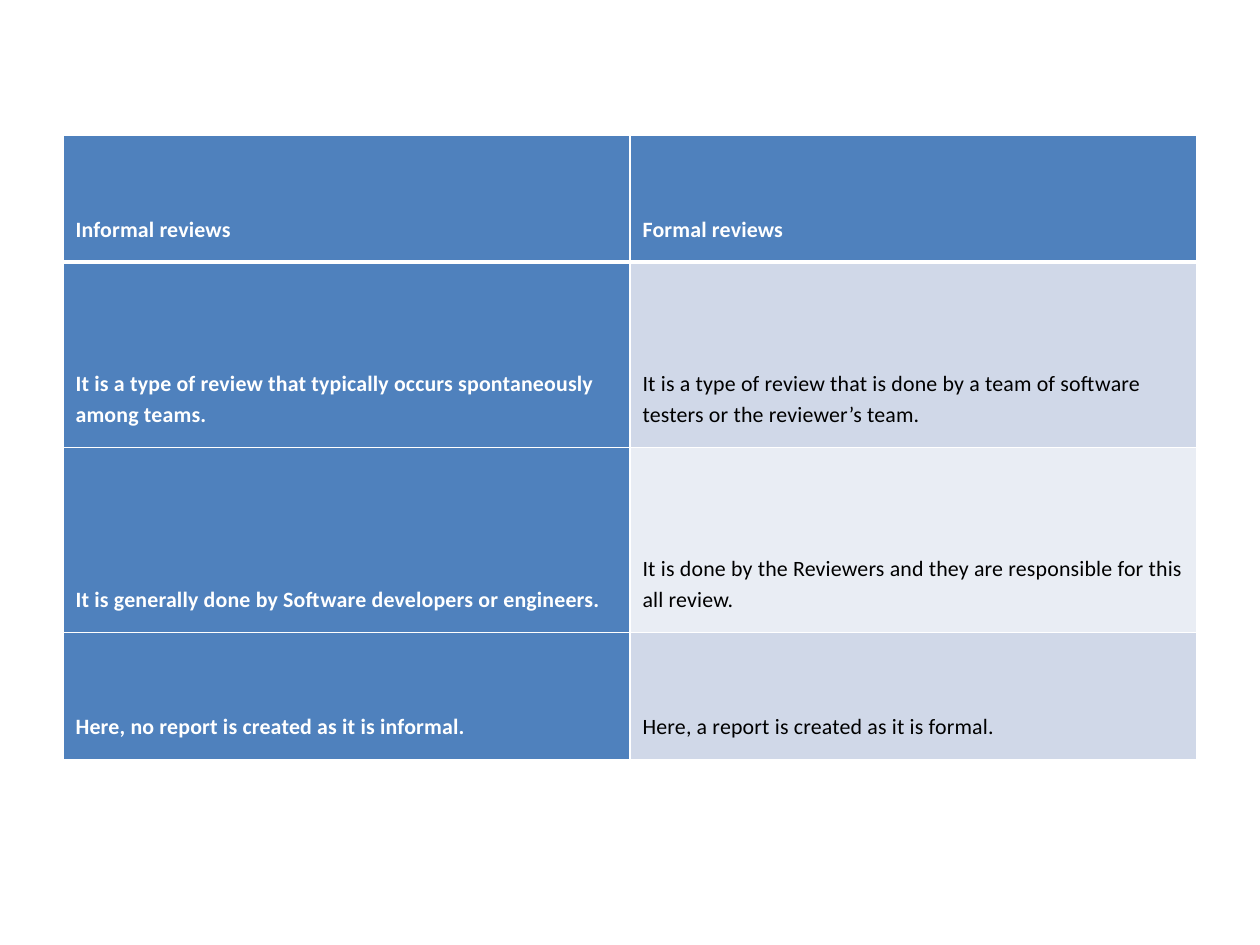
from lxml import etree
from pptx import Presentation
from pptx.dml.color import RGBColor
from pptx.enum import text
from pptx.oxml.ns import qn
from pptx.util import Inches, Pt

HUES = {"blue": "4F81BD", "band": "D0D8E8", "pale": "E9EDF4",
        "white": "FFFFFF", "black": "000000"}
ROWS = [
    ("Informal reviews", "Formal reviews"),
    ("It is a type of review that typically occurs spontaneously among teams.",
     "It is a type of review that is done by a team of software testers or the reviewer’s team."),
    ("It is generally done by Software developers or engineers.",
     "It is done by the Reviewers and they are responsible for this all review."),
    ("Here, no report is created as it is informal.",
     "Here, a report is created as it is formal."),
]
HEIGHTS = [1.01, 1.47, 1.47, 1.01]
WIDTH = 4.5


def write(cell, words, size=12.5, hue="black", bold=False):
    """Put formatted text at the bottom of a cell."""
    cell.vertical_anchor = text.MSO_ANCHOR.BOTTOM
    cell.margin_left = cell.margin_right = Inches(0.1)
    cell.margin_top = cell.margin_bottom = Inches(0.15)
    par = cell.text_frame.paragraphs[0]
    par.line_spacing = 1.15
    run = par.add_run()
    run.text = words
    run.font.name = "Calibri"
    run.font.size = Pt(size)
    run.font.bold = bold
    run.font.color.rgb = RGBColor.from_string(HUES[hue])
    run.font._element.set("spc", "10")


def edge(cell, top=1, base=1):
    """Draw white cell borders; widths in points."""
    props = cell._tc.get_or_add_tcPr()
    for side, width in (("L", 1), ("R", 1), ("T", top), ("B", base)):
        line = etree.SubElement(props, qn(f"a:ln{side}"), w=str(Pt(width)))
        fill = etree.SubElement(line, qn("a:solidFill"))
        etree.SubElement(fill, qn("a:srgbClr"), val=HUES["white"])


def paint(cell, hue):
    cell.fill.solid()
    cell.fill.fore_color.rgb = RGBColor.from_string(HUES[hue])


def add_grid(slide):
    frame = slide.shapes.add_table(
        len(ROWS), 2, Inches(0.5), Inches(1.07),
        Inches(2 * WIDTH), Inches(sum(HEIGHTS)))
    grid = frame.table
    grid.first_col = True
    for col in grid.columns:
        col.width = Inches(WIDTH)
    for r, (row, high) in enumerate(zip(ROWS, HEIGHTS)):
        grid.rows[r].height = Inches(high)
        for c, words in enumerate(row):
            cell = grid.cell(r, c)
            # The header row and first column stand out
            head = r == 0 or c == 0
            write(cell, words, hue="white" if head else "black", bold=head)
            edge(cell, top=3 if r == 1 else 1, base=3 if r == 0 else 1)
            paint(cell, "blue" if head else "band" if r % 2 else "pale")


def main():
    deck = Presentation()
    deck.slide_width, deck.slide_height = Inches(10), Inches(7.5)
    # Blank layout: the slide has no title
    slide = deck.slides.add_slide(deck.slide_layouts[6])
    add_grid(slide)
    deck.save("out.pptx")


if __name__ == "__main__":
    main()
